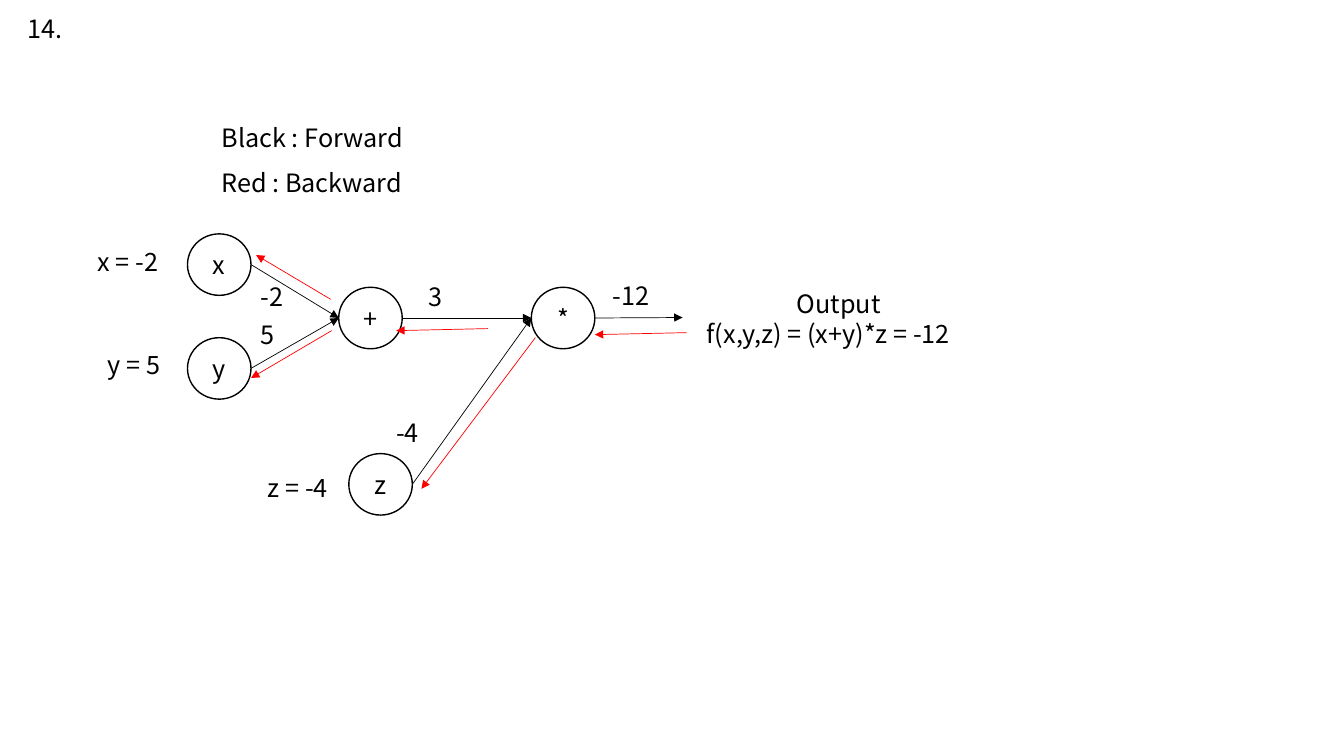
import dataclasses
import pptx
import pptx.util
import pptx.dml.color
import pptx.enum.shapes
import pptx.enum.text
import pptx.oxml
import pptx.oxml.ns

Inches = pptx.util.Inches
Pt = pptx.util.Pt
Align = pptx.enum.text.PP_ALIGN
Anchor = pptx.enum.text.MSO_ANCHOR
Fit = pptx.enum.text.MSO_AUTO_SIZE


@dataclasses.dataclass(frozen=True)
class Theme:
    font: str = "Noto Sans CJK KR"
    size: int = 18
    black: str = "000000"
    red: str = "FF0000"
    ring: float = 1
    thin: float = 0.5


THEME = Theme()
WIDE, HIGH = 0.63, 0.61  # node size
ROW = 0.4  # height of one text line

# All places below are offsets from the top left of the graph
NODES = {
    "x": (0.99, 0),
    "y": (0.99, 1.03),
    "+": (2.49, 0.53),
    "z": (2.59, 2.18),
    "*": (4.4, 0.53),
}
EDGES = [("x", "+"), ("y", "+"), ("+", "*"), ("z", "*")]
RESULT = (5.9, 0.83)
BACK = [
    ((5.94, 0.98), (5.03, 1)),
    ((3.97, 0.94), (3.06, 0.96)),
    ((4.44, 1.03), (3.31, 2.53)),
    ((2.42, 0.96), (1.62, 1.43)),
    ((2.41, 0.65), (1.67, 0.21)),
]
INPUTS = [("x = -2", 0, 0.07), ("y = 5", 0.1, 1.1), ("z = -4", 1.69, 2.32)]
VALUES = [
    ("-2", 1.62, 0.42),
    ("5", 1.62, 0.8),
    ("3", 3.28, 0.42),
    ("-4", 2.96, 1.77),
    ("-12", 5.11, 0.41),
]


def color(code):
    return pptx.dml.color.RGBColor.from_string(code)


def style(frame, align=Align.LEFT):
    for para in frame.paragraphs:
        para.alignment = align
        for run in para.runs:
            run.font.name = THEME.font
            run.font.size = Pt(THEME.size)
            run.font.color.rgb = color(THEME.black)


def label(slide, text, left, top, width, height=ROW):
    box = slide.shapes.add_textbox(*map(Inches, (left, top, width, height)))
    frame = box.text_frame
    frame.word_wrap = True
    frame.auto_size = Fit.SHAPE_TO_FIT_TEXT
    frame.text = text
    style(frame)
    return frame


def arrow(slide, start, end, code):
    line = slide.shapes.add_connector(
        pptx.enum.shapes.MSO_CONNECTOR.STRAIGHT, *map(Inches, (*start, *end)))
    line.line.color.rgb = color(code)
    line.line.width = Pt(THEME.thin)
    qn = pptx.oxml.ns.qn
    tip = line.line._get_or_add_ln().makeelement(
        qn("a:tailEnd"), {"type": "triangle"})
    line.line._get_or_add_ln().append(tip)
    props = line._element.spPr
    props.append(props.makeelement(qn("a:effectLst"), {}))


def node(slide, text, left, top):
    ring = slide.shapes.add_shape(
        pptx.enum.shapes.MSO_SHAPE.OVAL,
        *map(Inches, (left, top, WIDE, HIGH)))
    ring.shadow.inherit = False
    ring.fill.background()
    ring.line.color.rgb = color(THEME.black)
    ring.line.width = Pt(THEME.ring)
    ring.text_frame.text = text
    ring.text_frame.vertical_anchor = Anchor.MIDDLE
    style(ring.text_frame, Align.CENTER)


def heading(slide, left, top, width, height):
    title = slide.shapes.title
    title.left, title.top, title.width, title.height = map(
        Inches, (left, top, width, height))
    frame = title.text_frame
    frame.text = "14."
    frame.word_wrap = True
    frame.auto_size = Fit.SHAPE_TO_FIT_TEXT
    frame.vertical_anchor = Anchor.TOP
    style(frame)


def legend(slide, left, top, width):
    for row, text in enumerate(("Black : Forward", "Red : Backward")):
        label(slide, text, left, top + 0.45 * row, width)


def graph(slide, left, top):
    def at(spot, right=0, down=0):
        return left + spot[0] + right, top + spot[1] + down

    # Forward pass: right side of one node to left side of the next
    for tail, head in EDGES:
        arrow(slide, at(NODES[tail], WIDE, HIGH / 2),
              at(NODES[head], 0, HIGH / 2), THEME.black)
    arrow(slide, at(NODES["*"], WIDE, HIGH / 2), at(RESULT), THEME.black)

    # Nodes
    for name, spot in NODES.items():
        node(slide, name, *at(spot))

    # Backward pass
    for start, end in BACK:
        arrow(slide, at(start), at(end), THEME.red)

    # Input and edge values
    for group, width in ((INPUTS, 1.23), (VALUES, 1.11)):
        for text, *spot in group:
            label(slide, text, *at(spot), width)

    # Output
    frame = label(slide, "Output\nf(x,y,z) = (x+y)*z = -12",
                  *at((6.04, 0.49)), 2.82, 0.71)
    frame.paragraphs[0].alignment = Align.CENTER


def main():
    deck = pptx.Presentation()
    deck.slide_width, deck.slide_height = Inches(13.33), Inches(7.5)
    slide = deck.slides.add_slide(deck.slide_layouts[5])
    heading(slide, 0.17, 0.08, 9.79, ROW)
    legend(slide, 2.1, 1.16, 2.2)
    graph(slide, 0.87, 2.32)
    deck.save("out.pptx")


if __name__ == "__main__":
    main()
